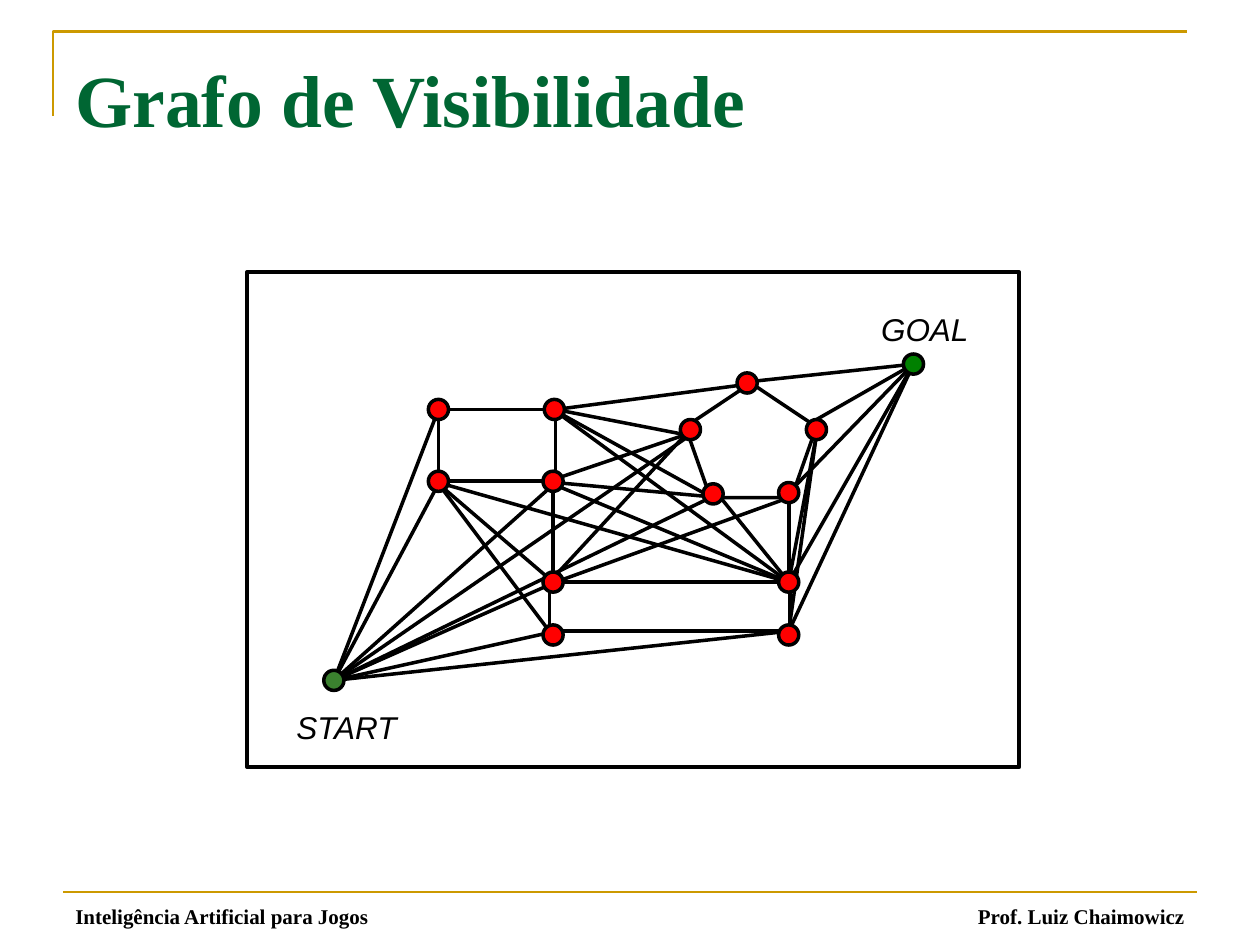
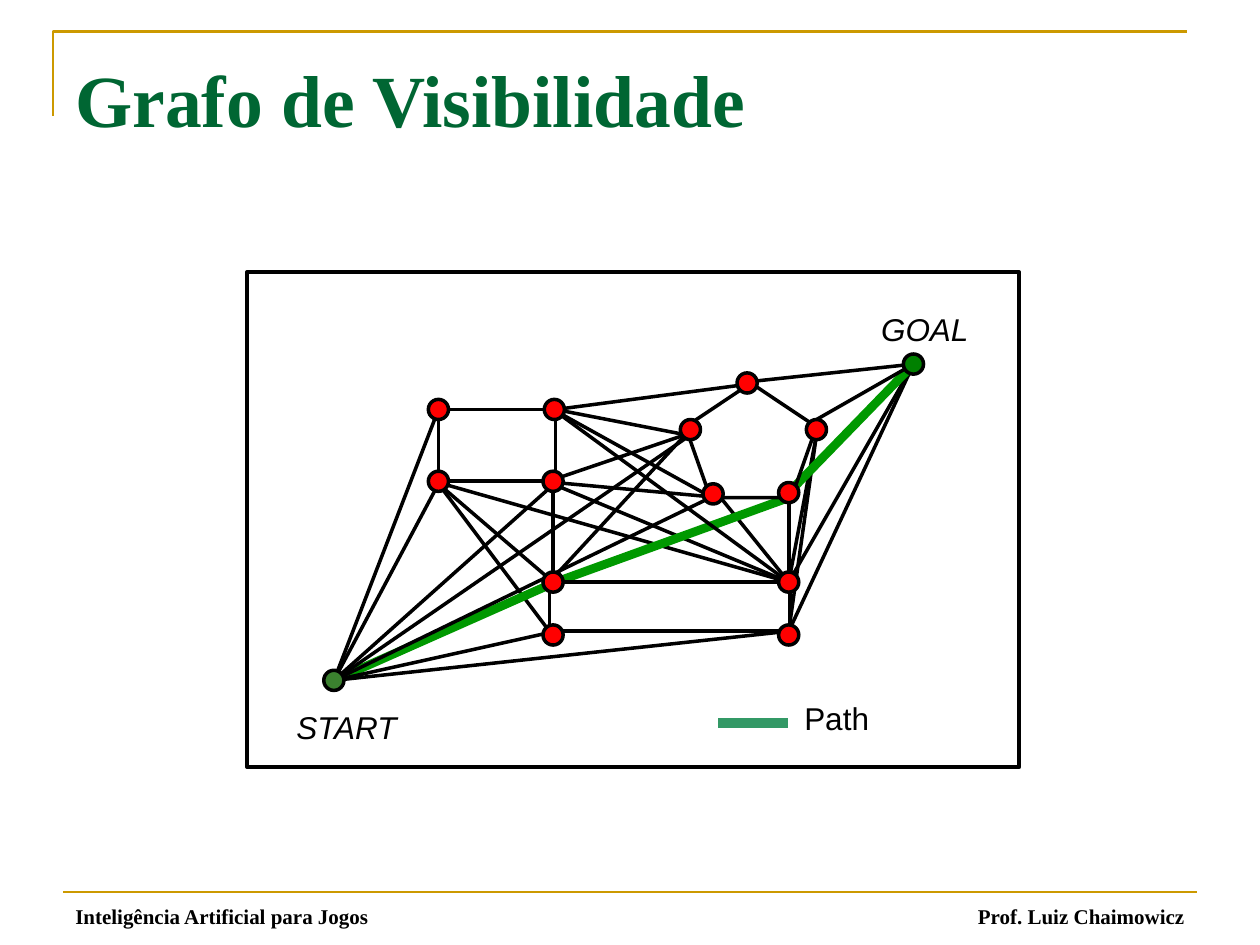
"""Build two slides on visibility graphs: all edges, then the chosen route."""
import pptx
import pptx.dml.color
import pptx.enum.shapes
import pptx.enum.text
import pptx.oxml.ns
import pptx.util
from lxml import etree

RGB = pptx.dml.color.RGBColor
SHAPE = pptx.enum.shapes.MSO_SHAPE
ALIGN = pptx.enum.text.PP_ALIGN
ANCHOR = pptx.enum.text.MSO_ANCHOR

PX = 9144
SERIF, SANS = "Times New Roman", "Arial"
BLACK = RGB(0x00, 0x00, 0x00)
GOLD = RGB(0xCC, 0x99, 0x00)
TITLE_GREEN = RGB(0x00, 0x66, 0x33)
START_GREEN = RGB(0x3B, 0x81, 0x2F)
GOAL_GREEN = RGB(0x00, 0x80, 0x00)
ROUTE_GREEN = RGB(0x00, 0x99, 0x00)
LEGEND_GREEN = RGB(0x33, 0x99, 0x66)
RED = RGB(0xFF, 0x00, 0x00)

START, GOAL = (265, 540), (725, 289)
NODE_SIZE = 16
CORNERS = [
    (348, 325), (440, 325), (348, 382), (439, 382),
    (439, 462), (626, 462), (439, 504), (626, 504),
    (593, 304), (548, 341), (648, 341), (566, 392), (626, 391),
]
OBSTACLES = [
    (SHAPE.RECTANGLE, (348, 325, 93, 57)),
    (SHAPE.RECTANGLE, (436, 462, 191, 39)),
    (SHAPE.REGULAR_PENTAGON, (544, 304, 104, 91)),
]
CORNER_EDGES = [
    ((626, 501), (648, 345)), ((626, 462), (648, 345)),
    ((544, 345), (436, 462)), ((348, 383), (626, 462)),
    ((436, 383), (626, 462)), ((439, 325), (558, 391)),
    ((348, 384), (439, 462)), ((572, 395), (626, 462)),
    ((436, 501), (348, 384)), ((441, 383), (572, 395)),
    ((439, 384), (439, 462)), ((626, 462), (626, 395)),
    ((441, 462), (626, 395)), ((441, 380), (544, 345)),
    ((441, 325), (544, 345)), ((441, 325), (601, 304)),
]
SEEN_FROM_GOAL = [(626, 501), (626, 462), (626, 391), (648, 333), (585, 304)]
SEEN_FROM_START = [
    (441, 462), (348, 384), (441, 501), (626, 501),
    (441, 383), (348, 325), (544, 348), (572, 391),
]
LONG_DIAGONAL = ((439, 325), (626, 462))
EDGES = (
    CORNER_EDGES
    + [(corner, GOAL) for corner in SEEN_FROM_GOAL]
    + [(START, corner) for corner in SEEN_FROM_START]
    + [LONG_DIAGONAL]
)
ROUTE = [(START, (441, 462)), ((441, 462), (626, 395)), ((626, 391), GOAL)]


class Deck:
    def __init__(self):
        self.show = pptx.Presentation()
        self.show.slide_width = 1000 * PX
        self.show.slide_height = 750 * PX
        self.slide = None

    def add_words(self, frame, words, font, size, color, align, bold=False, italic=False):
        paragraph = frame.paragraphs[0]
        paragraph.alignment = align
        run = paragraph.add_run()
        run.text = words
        run.font.name, run.font.size = font, pptx.util.Pt(size)
        run.font.bold, run.font.italic = bold, italic
        run.font.color.rgb = color

    def outline(self, shape, color, weight):
        shape.line.color.rgb = color
        shape.line.width = pptx.util.Pt(weight)

    def line(self, begin, end, color=BLACK, weight=2):
        ends = [length * PX for length in (*begin, *end)]
        connector = self.slide.shapes.add_connector(
            pptx.enum.shapes.MSO_CONNECTOR.STRAIGHT, *ends)
        self.outline(connector, color, weight)
        etree.SubElement(connector._element.spPr, pptx.oxml.ns.qn("a:effectLst"))

    def shape(self, preset, box, fill=None):
        shape = self.slide.shapes.add_shape(preset, *(length * PX for length in box))
        shape.shadow.inherit = False
        if fill is None:
            shape.fill.background()
        else:
            shape.fill.solid()
            shape.fill.fore_color.rgb = fill
        self.outline(shape, BLACK, 2)

    def node(self, center, fill=RED):
        x, y = center
        half = NODE_SIZE // 2
        self.shape(SHAPE.OVAL, (x - half, y - half, NODE_SIZE, NODE_SIZE), fill)

    def label(self, words, box, italic=True):
        frame = self.slide.shapes.add_textbox(*(length * PX for length in box)).text_frame
        frame.word_wrap = False
        self.add_words(frame, words, SANS, 18, BLACK, ALIGN.CENTER, italic=italic)

    def footer(self, words, box, align):
        frame = self.slide.shapes.add_textbox(*(length * PX for length in box)).text_frame
        frame.word_wrap = True
        frame.vertical_anchor = ANCHOR.BOTTOM
        self.add_words(frame, words, SERIF, 12, BLACK, align, bold=True)

    def corner_rule(self):
        builder = self.slide.shapes.build_freeform(42, 92, scale=PX)
        builder.add_line_segments([(42, 25), (942, 25)], close=False)
        rule = builder.convert_to_shape()
        rule.shadow.inherit = False
        rule.fill.background()
        self.outline(rule, GOLD, 1.5)

    def title(self, words):
        title = self.slide.shapes.title
        title.left, title.top, title.width, title.height = (
            length * PX for length in (50, 30, 900, 95))
        title.text_frame.vertical_anchor = ANCHOR.MIDDLE
        self.add_words(title.text_frame, words, SERIF, 42, TITLE_GREEN, ALIGN.LEFT, bold=True)

    def new_slide(self, heading):
        self.slide = self.show.slides.add_slide(self.show.slide_layouts[5])
        self.title(heading)
        self.corner_rule()
        self.line((50, 708), (950, 708), GOLD, 1.5)
        self.footer("Prof. Luiz Chaimowicz", (717, 717, 233, 25), ALIGN.RIGHT)
        self.footer("Inteligência Artificial para Jogos", (50, 717, 283, 25), ALIGN.LEFT)

    def visibility_graph(self, route=()):
        for edge in EDGES:
            if edge in route:
                self.line(*edge, ROUTE_GREEN, 5)
            else:
                self.line(*edge)
        self.shape(SHAPE.RECTANGLE, (196, 216, 613, 393))
        for preset, box in OBSTACLES:
            self.shape(preset, box)
        for corner in CORNERS:
            self.node(corner)
        self.node(START, START_GREEN)
        self.node(GOAL, GOAL_GREEN)
        self.label("GOAL", (689, 241, 90, 40))
        self.label("START", (224, 557, 102, 40))

    def route_legend(self):
        self.line((570, 574), (625, 574), LEGEND_GREEN, 6)
        self.label("Path", (628, 550, 72, 40), italic=False)


def main():
    deck = Deck()
    for route in ([], ROUTE):
        deck.new_slide("Grafo de Visibilidade")
        deck.visibility_graph(route)
    deck.route_legend()
    deck.show.save("out.pptx")


if __name__ == "__main__":
    main()
